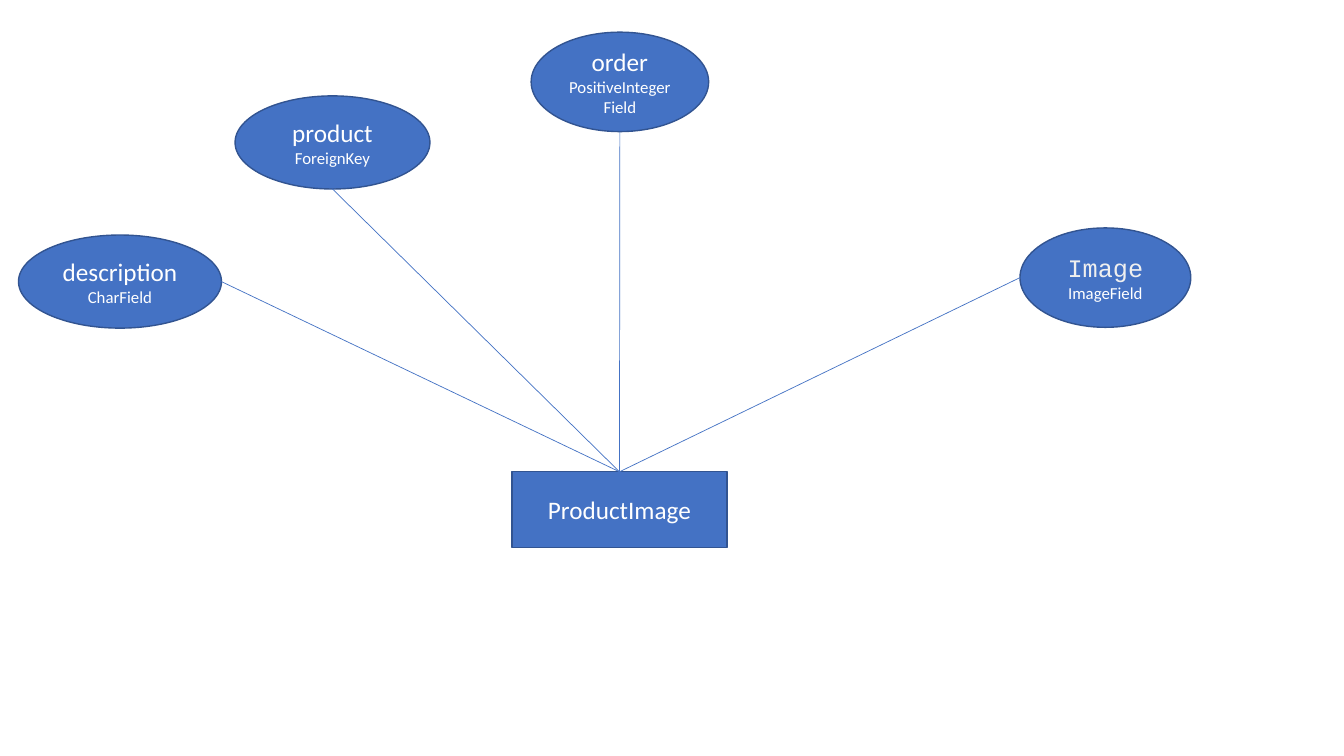
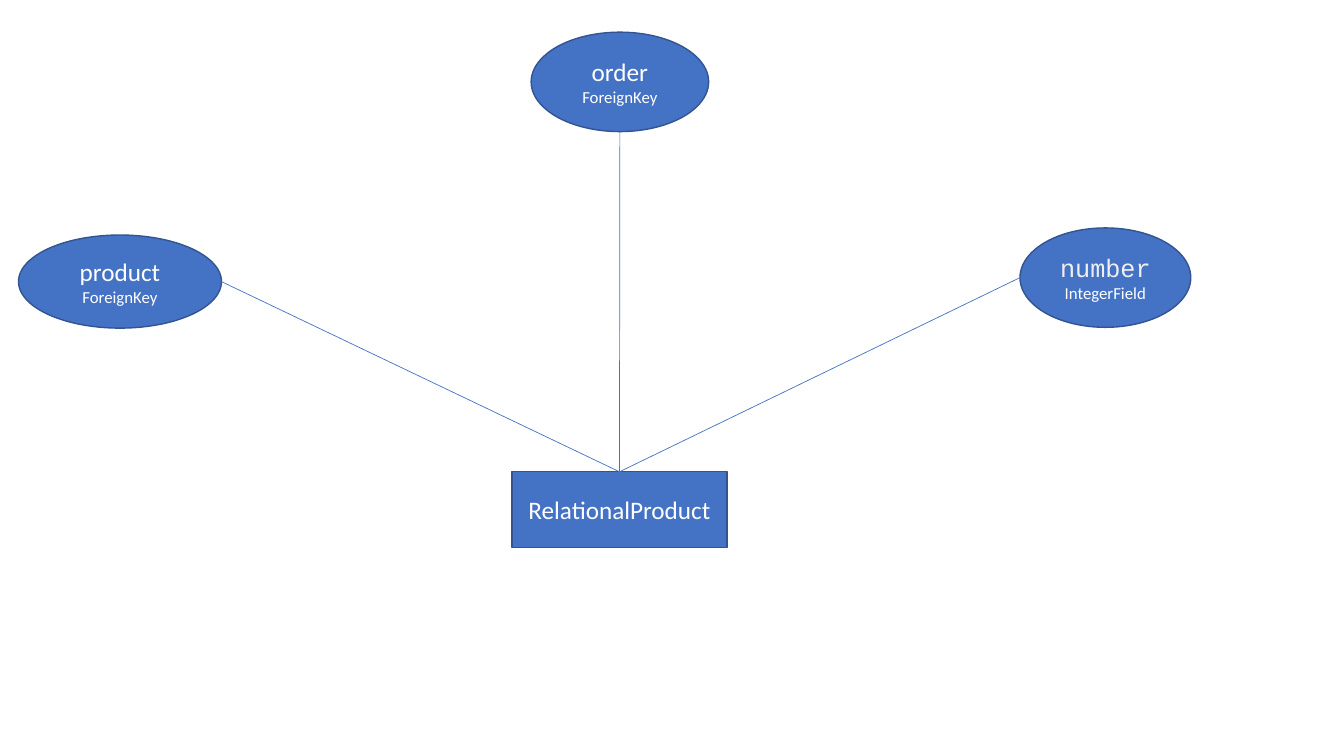
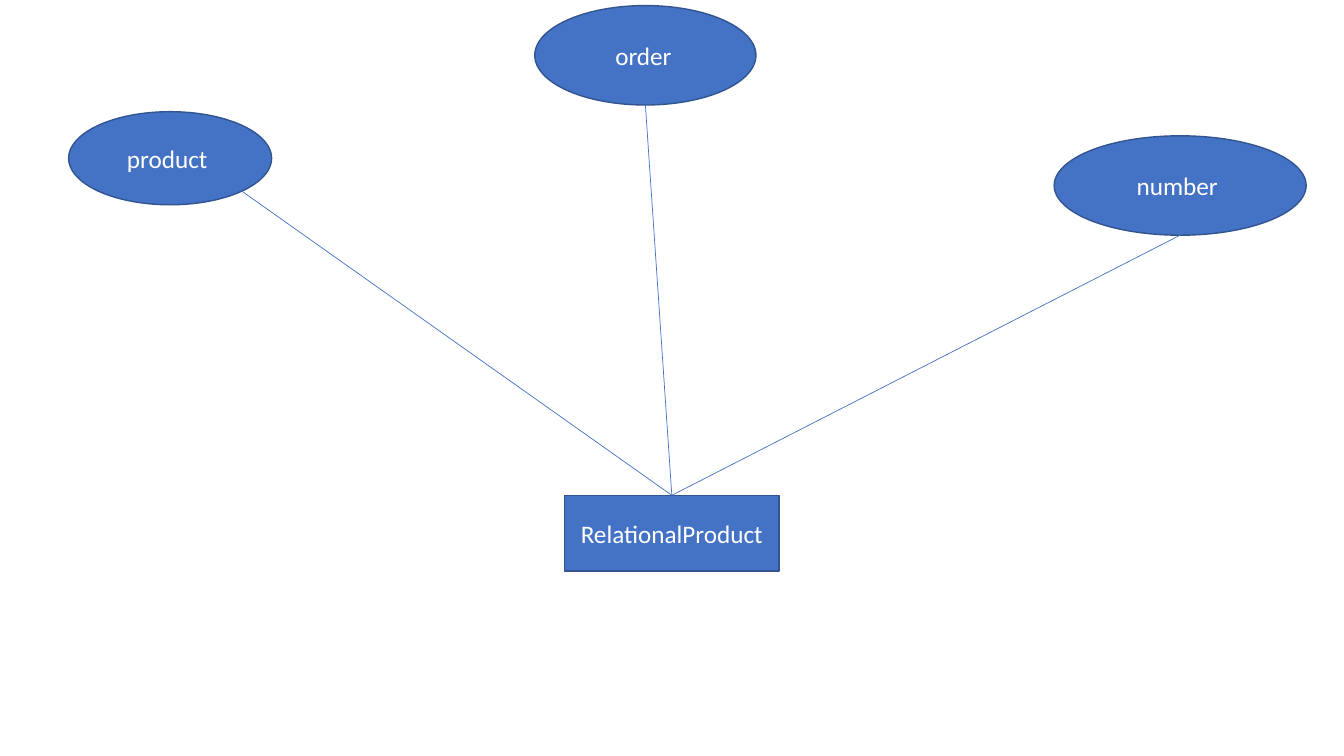
from pptx import Presentation
from pptx.dml.color import RGBColor
from pptx.enum.shapes import MSO_CONNECTOR, MSO_SHAPE
from pptx.enum.text import MSO_ANCHOR, PP_ALIGN
from pptx.oxml.ns import qn
from pptx.util import Pt

COLORS = {"fill": "4472C4", "outline": "325491", "white": "FFFFFF", "pale": "EFEFEF"}

# Text styles: font, size, colour
STYLES = {
    "name": ("Calibri", 18, "white"),
    "code": ("Courier New", 18, "pale"),
    "type": ("Calibri", 12, "white"),
}

# Where a line leaves an ellipse, as fractions of its width and height
DIAGONAL = 0.5 + 0.5 ** 1.5
SIDES = {
    "right": (1, 0.5),
    "bottom": (0.5, 1),
    "left": (0, 0.5),
    "lower right": (DIAGONAL, DIAGONAL),
}

ENTITY_SIZE = (153.4, 54.2)
ENTITY_SPOT = (365.8, 337)
LEFT_SPOT = (13.2, 167.9, 145, 66.5)
UPPER_SPOT = (167.9, 68.5, 139.2, 66.5)
TOP_SPOT = (379.4, 23, 126.8, 71)
RIGHT_SPOT = (728.6, 162.8, 122, 71)

# Entity, its left and top, then its attributes: place, side of the line, and
# the paragraphs, each a list of (text, style) runs
DIAGRAMS = [
    ("ProductImage", ENTITY_SPOT, [
        (LEFT_SPOT, "right", [[("description", "name")], [("CharField", "type")]]),
        (UPPER_SPOT, "bottom", [[("product", "name")], [("ForeignKey", "type")]]),
        (TOP_SPOT, "bottom", [[("order", "name")], [("PositiveIntegerField", "type")]]),
        (RIGHT_SPOT, "left", [[("Image", "code")], [("ImageField", "type")]]),
    ]),
    ("RelationalProduct", ENTITY_SPOT, [
        (LEFT_SPOT, "right", [[("product", "name")], [("ForeignKey", "type")]]),
        (TOP_SPOT, "bottom", [[("order", "name")], [("ForeignKey", "type")]]),
        (RIGHT_SPOT, "left", [[("number", "code")], [("IntegerField", "type")]]),
    ]),
    ("RelationalProduct", (403.2, 353.8), [
        ((49, 79.8, 145, 66.5), "lower right", [[("product ", "name")]]),
        ((382, 4, 158, 71), "bottom", [[("order", "name"), (" ", "type")]]),
        ((753, 97, 180, 71), "bottom", [[("number ", "name")]]),
    ]),
]


def add_node(slide, preset, box, paragraphs):
    """Add a filled, outlined shape with centred text."""
    node = slide.shapes.add_shape(preset, *map(Pt, box))
    node.shadow.inherit = False
    node.fill.solid()
    node.fill.fore_color.rgb = RGBColor.from_string(COLORS["fill"])
    node.line.color.rgb = RGBColor.from_string(COLORS["outline"])
    node.line.width = Pt(1)
    frame = node.text_frame
    frame.word_wrap = True
    frame.vertical_anchor = MSO_ANCHOR.MIDDLE
    for index, runs in enumerate(paragraphs):
        paragraph = frame.add_paragraph() if index else frame.paragraphs[0]
        paragraph.alignment = PP_ALIGN.CENTER
        for text, style in runs:
            run = paragraph.add_run()
            run.text = text
            face, size, color = STYLES[style]
            for attribute, value in {"name": face, "size": Pt(size)}.items():
                setattr(run.font, attribute, value)
            run.font.color.rgb = RGBColor.from_string(COLORS[color])


def add_link(slide, start, end):
    """Add a thin straight line between two points."""
    link = slide.shapes.add_connector(MSO_CONNECTOR.STRAIGHT, *map(Pt, start + end))
    link.line.color.rgb = RGBColor.from_string(COLORS["fill"])
    link.line.width = Pt(0.5)
    properties = link._element.spPr
    properties.append(properties.makeelement(qn("a:effectLst"), {}))


deck = Presentation()
deck.slide_width, deck.slide_height = Pt(960), Pt(540)

for entity, (entity_left, entity_top), attributes in DIAGRAMS:
    slide = deck.slides.add_slide(deck.slide_layouts[6])
    add_node(slide, MSO_SHAPE.RECTANGLE, (entity_left, entity_top, *ENTITY_SIZE),
             [[(entity, "name")]])
    for box, side, paragraphs in attributes:
        add_node(slide, MSO_SHAPE.OVAL, box, paragraphs)
    entity_joint = (entity_left + ENTITY_SIZE[0] / 2, entity_top)
    for (left, top, width, height), side, paragraphs in attributes:
        across, down = SIDES[side]
        add_link(slide, (left + across * width, top + down * height), entity_joint)

deck.save("out.pptx")
